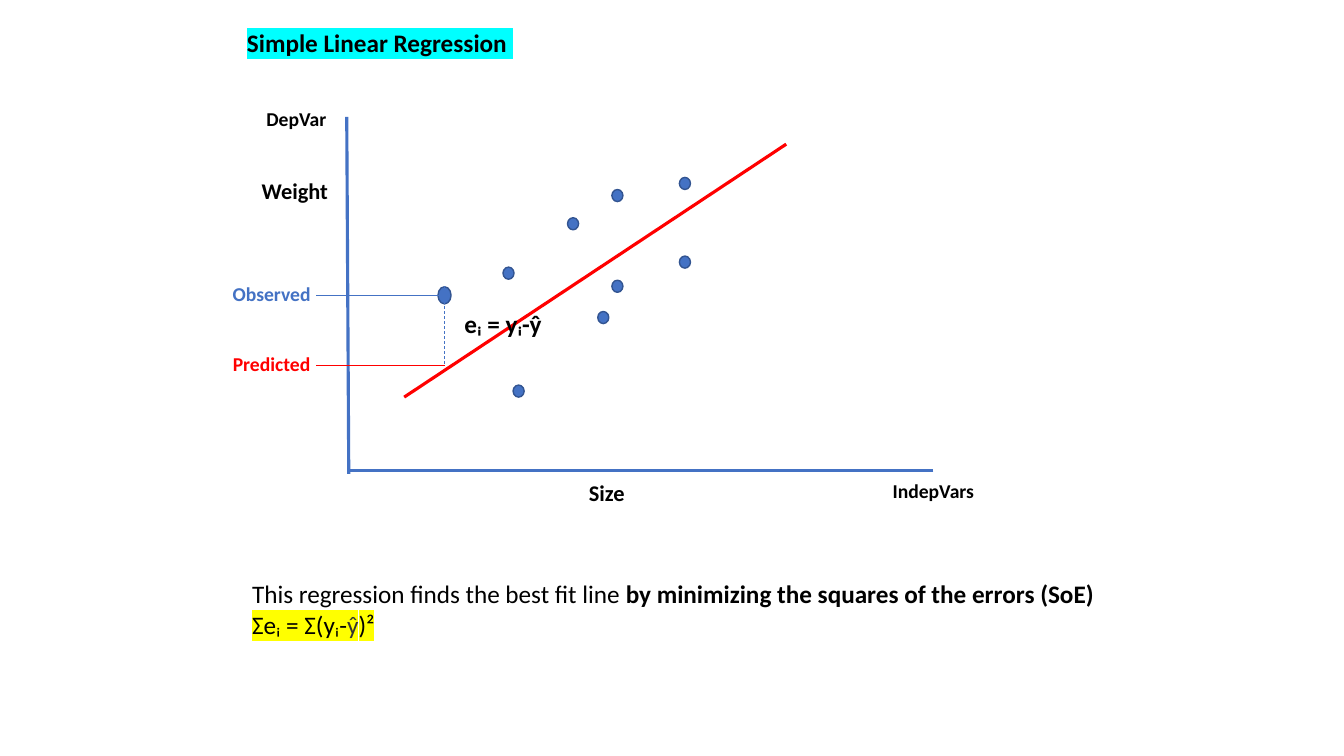
import pptx
import pptx.dml.color
import pptx.enum.dml
import pptx.enum.shapes
import pptx.enum.text
import pptx.oxml.ns
import pptx.util
import lxml.etree

COLORS = {
    "text": "000000", "accent": "4472C4", "outline": "325491",
    "fit": "FF0000", "muted": "333333", "cyan": "00FFFF", "yellow": "FFFF00",
}
COLUMNS, ROWS = 80, 45
RESIDUAL = "e\u1d62 = y\u1d62-y\u0302"


def rgb(name):
    return pptx.dml.color.RGBColor.from_string(COLORS[name])


def add_element(parent, tag, **attributes):
    element = lxml.etree.SubElement(parent, pptx.oxml.ns.qn(tag))
    for name, value in attributes.items():
        element.set(name, value)
    return element


def add_run(paragraph, text, size=18, bold=False, color="text", highlight=None):
    run = paragraph.add_run()
    run.text = text
    font = run.font
    font.size = pptx.util.Pt(size)
    font.bold = bold
    font.color.rgb = rgb(color)
    if highlight:
        marker = add_element(run._r.get_or_add_rPr(), "a:highlight")
        add_element(marker, "a:srgbClr", val=COLORS[highlight])
    font.name = "Calibri"


class RegressionSlide:
    """Places elements on a grid of COLUMNS by ROWS."""

    def __init__(self, presentation):
        self.column = presentation.slide_width / COLUMNS
        self.row = presentation.slide_height / ROWS
        self.slide = presentation.slides.add_slide(presentation.slide_layouts[1])

    def across(self, columns):
        return round(columns * self.column)

    def down(self, rows):
        return round(rows * self.row)

    def box(self, left, top, width, height):
        return (self.across(left), self.down(top),
                self.across(width), self.down(height))

    def placeholder(self, index, box, paragraphs, indent=0):
        shape = self.slide.placeholders[index]
        shape.left, shape.top, shape.width, shape.height = self.box(*box)
        frame = shape.text_frame
        frame.word_wrap = True
        frame.auto_size = pptx.enum.text.MSO_AUTO_SIZE.NONE
        frame.vertical_anchor = pptx.enum.text.MSO_ANCHOR.TOP
        for number, runs in enumerate(paragraphs):
            paragraph = frame.add_paragraph() if number else frame.paragraphs[0]
            paragraph.alignment = pptx.enum.text.PP_ALIGN.LEFT
            paragraph.space_before = pptx.util.Pt(0)
            properties = paragraph._p.get_or_add_pPr()
            properties.set("marL", str(pptx.util.Inches(indent)))
            properties.set("indent", "0")
            add_element(properties, "a:buNone")
            for text, style in runs:
                add_run(paragraph, text, **style)

    def label(self, text, box, **style):
        frame = self.slide.shapes.add_textbox(*self.box(*box)).text_frame
        frame.word_wrap = False
        paragraph = frame.paragraphs[0]
        paragraph.alignment = pptx.enum.text.PP_ALIGN.CENTER
        add_run(paragraph, text, bold=True, **style)

    def line(self, start, end, color="accent", width=2.25, dashed=False):
        connector = self.slide.shapes.add_connector(
            pptx.enum.shapes.MSO_CONNECTOR.STRAIGHT,
            self.across(start[0]), self.down(start[1]),
            self.across(end[0]), self.down(end[1]))
        connector.line.color.rgb = rgb(color)
        connector.line.width = pptx.util.Pt(width)
        if dashed:
            connector.line.dash_style = pptx.enum.dml.MSO_LINE.DASH
        add_element(connector._element.spPr, "a:effectLst")

    def dot(self, center, width=0.66, height=0.72):
        shape = self.slide.shapes.add_shape(
            pptx.enum.shapes.MSO_SHAPE.OVAL,
            *self.box(center[0] - width / 2, center[1] - height / 2, width, height))
        shape.shadow.inherit = False
        shape.fill.solid()
        shape.fill.fore_color.rgb = rgb("accent")
        shape.line.color.rgb = rgb("outline")
        shape.line.width = pptx.util.Pt(1)


presentation = pptx.Presentation()
presentation.slide_width = pptx.util.Inches(13.33)
presentation.slide_height = pptx.util.Inches(7.5)
page = RegressionSlide(presentation)

# Title and explanation
page.placeholder(0, (14.1, 1.32, 40, 2.4), [
    [("Simple Linear Regression ", {"bold": True, "highlight": "cyan"})],
])
page.placeholder(1, (9.9, 34.14, 57.54, 4.26), [
    [("This regression finds the best fit line ", {}),
     ("by minimizing the squares of the errors (SoE)", {"bold": True})],
    [("\u03a3e\u1d62 = \u03a3(y\u1d62-", {"highlight": "yellow"}),
     ("y\u0302", {"color": "muted", "highlight": "yellow"}),
     (")\u00b2", {"highlight": "yellow"})],
], indent=0.75)

# Axes and fitted line
page.line((20.64, 6.96), (20.76, 28.2))
page.line((55.56, 28.02), (20.64, 28.02))
page.line((24.06, 23.64), (46.8, 8.58), color="fit")

# Axis labels
page.label("DepVar", (15.24, 6.06, 4.8, 2.04), size=14)
page.label("IndepVars", (52.5, 28.2, 6.12, 2.04), size=14)
page.label("Size", (34.44, 28.2, 3.36, 2.22), size=16)
page.label("Weight", (14.94, 10.26, 5.22, 2.22), size=16)

# Observed and predicted values with the residual between them
guide_left, sample_column = 18.84, 26.46
observed_row, predicted_row = 17.58, 21.72
page.dot((sample_column, observed_row), width=0.78, height=1.02)
page.line((sample_column, 17.04), (sample_column, predicted_row),
          width=0.5, dashed=True)
for text, row, color in (("Predicted", predicted_row, "fit"),
                         ("Observed", observed_row, "accent")):
    page.line((sample_column, row), (guide_left, row), color=color, width=0.5)
    page.label(text, (13.23, row - 1.08, 5.88, 2.04), size=14, color=color)
page.label(RESIDUAL, (27, 18.06, 5.88, 2.4), size=18)

# Remaining data points
for center in ((34.11, 13.32), (36.75, 11.64), (35.91, 18.9), (40.77, 10.92),
               (30.27, 16.26), (40.77, 15.6), (36.75, 17.04), (30.87, 23.28)):
    page.dot(center)

presentation.save("out.pptx")
